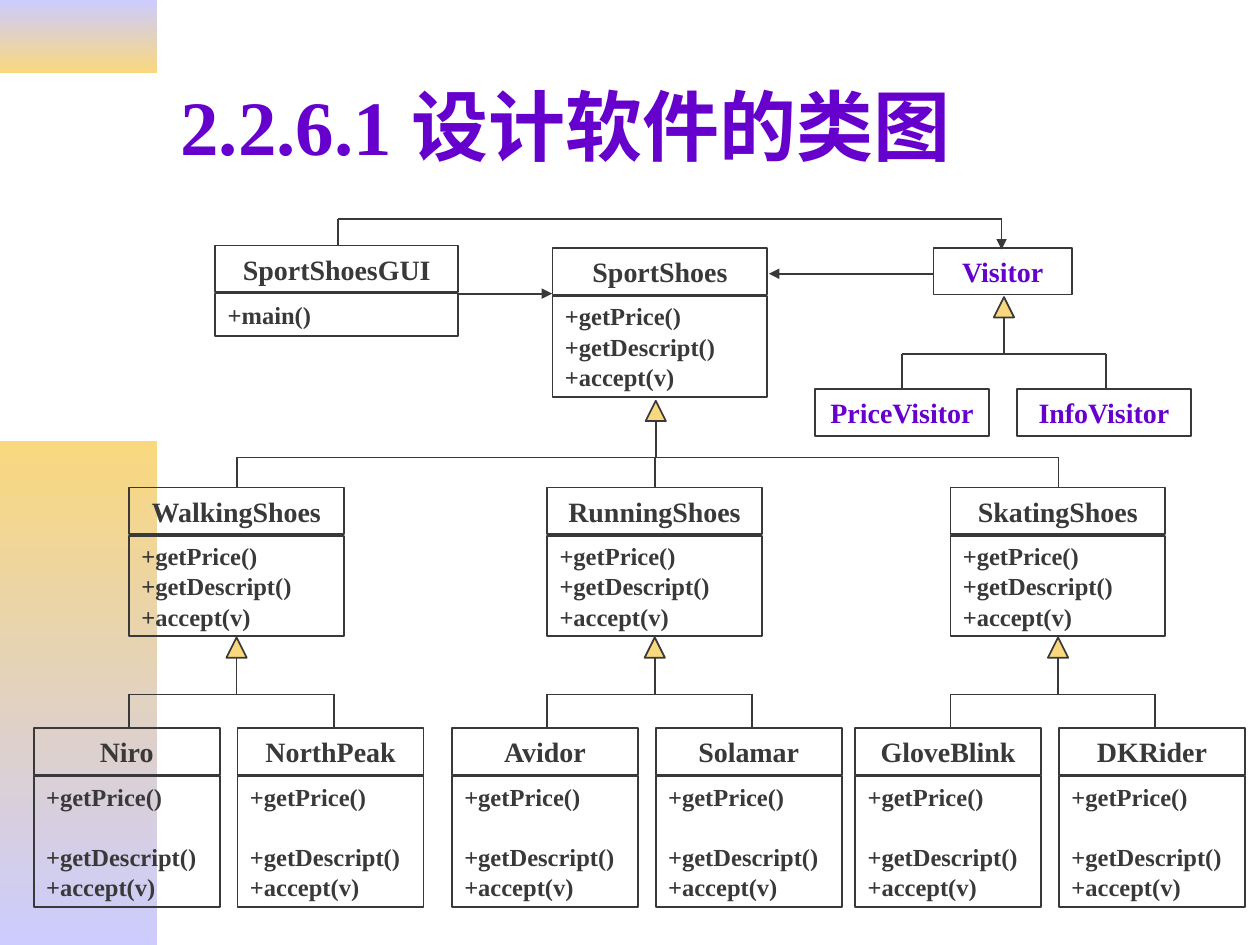
from lxml import etree
from pptx import Presentation
from pptx import util as u
from pptx.dml import color as dml
from pptx.enum import shapes, text
from pptx.oxml import ns

COLORS = {"ink": "393939", "accent": "6600CC", "gold": "F9D87E", "lilac": "CCCCFF"}
FONT = "Times New Roman"
SHOE_METHODS = ["+getPrice()", "+getDescript()", "+accept(v)"]
HEAD_HEIGHT, BODY_OFFSET = 0.94, 0.97
FAMILY_WIDTH, FAMILY_TOP, LEAF_TOP = 4.33, 9.83, 14.68
FAMILIES = [
    ("WalkingShoes", 2.6, ("Niro", "NorthPeak")),
    ("RunningShoes", 11.03, ("Avidor", "Solamar")),
    ("SkatingShoes", 19.16, ("GloveBlink", "DKRider")),
]


def rgb(name):
    """Return the palette colour of that name."""
    return dml.RGBColor.from_string(COLORS[name])


def style_font(paragraph, size, color):
    """Make the runs of a paragraph bold in the slide font."""
    for run in paragraph.runs:
        run.font.name = FONT
        run.font.size = u.Pt(size)
        run.font.bold = True
        run.font.color.rgb = rgb(color)


def add_box(slide, kind, left, top, width, height):
    """Add an unfilled, thinly outlined shape."""
    shape = slide.shapes.add_shape(kind, *map(u.Cm, (left, top, width, height)))
    shape.shadow.inherit = False
    shape.fill.background()
    shape.line.color.rgb = rgb("ink")
    shape.line.width = u.Pt(1)
    return shape


def add_line(slide, start, end, arrow=False):
    """Draw a straight line, with an arrowhead at its end on request."""
    connector = slide.shapes.add_connector(
        shapes.MSO_CONNECTOR.STRAIGHT, *map(u.Cm, (*start, *end)))
    connector.line.color.rgb = rgb("ink")
    connector.line.width = u.Pt(1)
    if arrow:
        outline = connector.line._get_or_add_ln()
        etree.SubElement(outline, ns.qn("a:tailEnd"), type="triangle")
    etree.SubElement(connector._element.spPr, ns.qn("a:effectLst"))


def write_lines(shape, lines, size, color, align, second_gap=0.7):
    """Fill a class compartment with one paragraph for each line."""
    frame = shape.text_frame
    frame.word_wrap = True
    frame.vertical_anchor = text.MSO_ANCHOR.MIDDLE
    frame.text = "\n".join(lines)
    for index, paragraph in enumerate(frame.paragraphs):
        paragraph.alignment = align
        if index:
            paragraph.space_before = u.Pt(second_gap if index == 1 else 0.7)
        style_font(paragraph, size, color)


def add_class(slide, left, top, width, name, methods=(), body_height=2.03,
              color="ink", second_gap=0.7):
    """Place a class name compartment and its methods below it."""
    rectangle = shapes.MSO_SHAPE.RECTANGLE
    if methods:
        body = add_box(slide, rectangle, left, top + BODY_OFFSET, width, body_height)
        write_lines(body, methods, 14, "ink", text.PP_ALIGN.LEFT, second_gap)
    head = add_box(slide, rectangle, left, top, width, HEAD_HEIGHT)
    write_lines(head, [name], 16, color, text.PP_ALIGN.CENTER)


def add_inheritance(slide, apex_x, apex_y, bar_y, child_xs, child_y):
    """Join a parent's triangle to its children through a horizontal bar."""
    side = 0.41
    triangle = add_box(slide, shapes.MSO_SHAPE.ISOSCELES_TRIANGLE,
                       apex_x - side / 2, apex_y, side, side)
    triangle.fill.solid()
    triangle.fill.fore_color.rgb = rgb("gold")
    add_line(slide, (apex_x, apex_y + side), (apex_x, bar_y))
    add_line(slide, (child_xs[0], bar_y), (child_xs[-1], bar_y))
    for child_x in child_xs:
        add_line(slide, (child_x, bar_y), (child_x, child_y))


def add_family(slide, left, top, name, leaves):
    """Place a shoe family class with its two subclasses."""
    add_class(slide, left, top, FAMILY_WIDTH, name, SHOE_METHODS)
    add_inheritance(slide, left + 2.17, top + 3.02, top + 4.17,
                    (left, left + 4.13), LEAF_TOP)
    for leaf, offset in zip(leaves, (-1.92, 2.19)):
        add_class(slide, left + offset, LEAF_TOP, 3.75, leaf, SHOE_METHODS, 2.64,
                  second_gap=17.5)


def add_visitors(slide, left, top):
    """Place the visitor class with its two subclasses."""
    add_class(slide, left, top, 2.79, "Visitor", color="accent")
    add_inheritance(slide, left + 1.42, top + 0.99, top + 2.14,
                    (left - 0.63, left + 3.48), top + 2.85)
    for name, offset in (("PriceVisitor", -2.39), ("InfoVisitor", 1.68)):
        add_class(slide, left + offset, top + 2.85, 3.51, name, color="accent")


def add_associations(slide):
    """Draw the arrows among the three top classes."""
    add_line(slide, (18.82, 5.52), (15.5, 5.52), arrow=True)
    add_line(slide, (9.24, 5.92), (11.13, 5.92), arrow=True)
    add_line(slide, (6.81, 4.95), (6.81, 4.42))
    add_line(slide, (6.81, 4.42), (20.19, 4.42))
    add_line(slide, (20.19, 4.42), (20.19, 5.03), arrow=True)


def add_side_band(slide, top, height, first, last):
    """Place a vertical gradient band at the left edge."""
    band = add_box(slide, shapes.MSO_SHAPE.RECTANGLE, 0, top, 3.17, height)
    band.line.fill.background()
    band.fill.gradient()
    band.fill.gradient_angle = 270
    for stop, position, color in zip(band.fill.gradient_stops, (0, 1), (first, last)):
        stop.position = position
        stop.color.rgb = rgb(color)


def add_title(slide, left, top, width, height):
    """Move and format the title placeholder."""
    title = slide.shapes.title
    title.left, title.top, title.width, title.height = map(
        u.Cm, (left, top, width, height))
    title.text_frame.text = "2.2.6.1 设计软件的类图"
    title.text_frame.vertical_anchor = text.MSO_ANCHOR.MIDDLE
    paragraph = title.text_frame.paragraphs[0]
    paragraph.alignment = text.PP_ALIGN.LEFT
    style_font(paragraph, 44, "accent")


def main():
    """Build the class diagram slide."""
    presentation = Presentation()
    presentation.slide_width, presentation.slide_height = u.Cm(25.4), u.Cm(19.05)
    slide = presentation.slides.add_slide(presentation.slide_layouts[5])
    add_side_band(slide, 0, 1.47, "lilac", "gold")
    add_side_band(slide, 8.89, 10.16, "gold", "lilac")
    add_title(slide, 3.38, 0.84, 21.59, 3.35)
    for name, left, leaves in FAMILIES:
        add_family(slide, left, FAMILY_TOP, name, leaves)
    add_class(slide, 11.14, 5, FAMILY_WIDTH, "SportShoes", SHOE_METHODS)
    family_centers = [left + 2.18 for _, left, _ in FAMILIES]
    add_inheritance(slide, 13.22, 8.08, 9.22, family_centers, FAMILY_TOP)
    add_class(slide, 4.34, 4.95, 4.9, "SportShoesGUI", ["+main()"], 0.86)
    add_visitors(slide, 18.82, 5)
    add_associations(slide)
    presentation.save("out.pptx")


if __name__ == "__main__":
    main()
